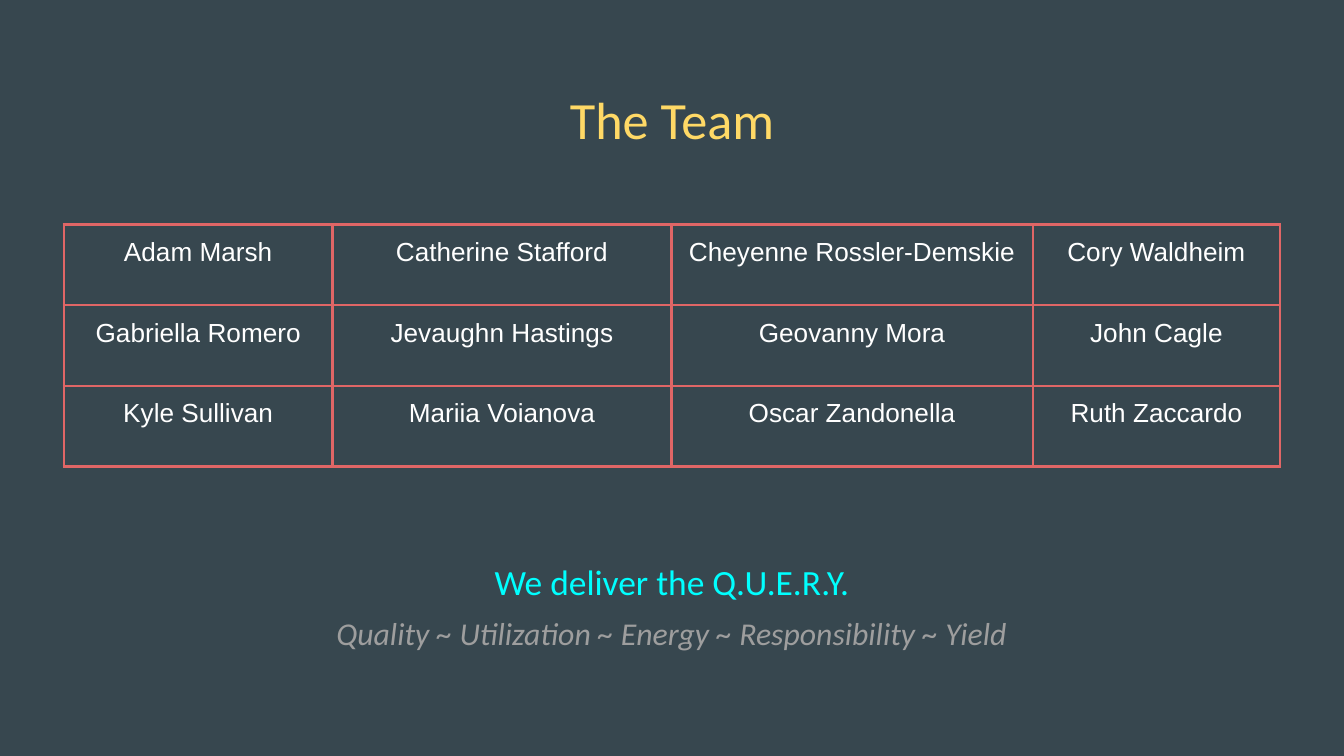
from dataclasses import dataclass

from lxml.etree import SubElement
from pptx import Presentation
from pptx.dml.color import RGBColor as RGB
from pptx.enum.text import MSO_ANCHOR as Anchor, MSO_AUTO_SIZE as AutoSize, PP_ALIGN as Align
from pptx.oxml.ns import qn
from pptx.util import Inches, Pt


@dataclass(frozen=True)
class Theme:
    background: str = "37474F"
    title: str = "FFD966"
    motto: str = "00FFFF"
    values: str = "9E9E9E"
    names: str = "FFFFFF"
    border: str = "E06666"
    heading_font: str = "Calibri"
    table_font: str = "Arial"
    title_size: int = 28
    motto_size: int = 19
    values_size: int = 17
    names_size: int = 14
    border_width: float = 1.5
    inset: float = 0.1


THEME = Theme()
SLIDE_WIDTH = 10
SLIDE_HEIGHT = SLIDE_WIDTH * 9 / 16
COLUMN_WIDTHS = (2, 2.52, 2.69, 1.84)
ROW_HEIGHT = 0.6
TEAM = (
    ("Adam Marsh", "Catherine Stafford", "Cheyenne Rossler-Demskie", "Cory Waldheim"),
    ("Gabriella Romero", "Jevaughn Hastings", "Geovanny Mora", "John Cagle"),
    ("Kyle Sullivan", "Mariia Voianova", "Oscar Zandonella", "Ruth Zaccardo"),
)


def centred_place(top, width, height):
    """Return left, top, width and height of an area centred across the slide."""
    return [Inches(length) for length in ((SLIDE_WIDTH - width) / 2, top, width, height)]


def set_insets(target):
    target.margin_left = target.margin_right = Inches(THEME.inset)
    target.margin_top = target.margin_bottom = Inches(THEME.inset)


def write(para, text, *, size, color, font=THEME.heading_font, italic=False, spacing=1):
    para.alignment = Align.CENTER
    para.line_spacing = spacing
    para.space_before = para.space_after = Pt(0)
    span = para.add_run()
    span.text = text
    span.font.name = font
    span.font.size = Pt(size)
    span.font.italic = italic
    span.font.color.rgb = RGB.from_string(color)


def remove_bullet(para):
    properties = para._p.get_or_add_pPr()
    properties.set("marL", "0")
    properties.set("indent", "0")
    SubElement(properties, qn("a:buNone"))


def place_placeholder(box, top, width, height):
    box.left, box.top, box.width, box.height = centred_place(top, width, height)
    frame = box.text_frame
    frame.word_wrap = True
    frame.auto_size = AutoSize.NONE
    frame.vertical_anchor = Anchor.MIDDLE
    set_insets(frame)
    return frame


def draw_cell_borders(cell):
    properties = cell._tc.get_or_add_tcPr()
    for side in ("a:lnL", "a:lnR", "a:lnT", "a:lnB"):
        line = SubElement(properties, qn(side), w=str(Pt(THEME.border_width)))
        fill = SubElement(line, qn("a:solidFill"))
        SubElement(fill, qn("a:srgbClr"), val=THEME.border)


def add_title(page):
    frame = place_placeholder(page.shapes.title, 0.51, 3.47, 0.75)
    write(frame.paragraphs[0], "The Team", size=THEME.title_size, color=THEME.title)


def add_motto(page):
    frame = place_placeholder(page.placeholders[1], 3.89, 5.68, 1.14)
    motto, values = frame.paragraphs[0], frame.add_paragraph()
    write(motto, "We deliver the Q.U.E.R.Y.",
          size=THEME.motto_size, color=THEME.motto, spacing=1.3)
    write(values, "Quality ~ Utilization ~ Energy ~ Responsibility ~ Yield",
          size=THEME.values_size, color=THEME.values, italic=True, spacing=1.3)
    for para in (motto, values):
        remove_bullet(para)


def add_team_table(page):
    place = centred_place(1.67, sum(COLUMN_WIDTHS), ROW_HEIGHT * len(TEAM))
    table = page.shapes.add_table(len(TEAM), len(COLUMN_WIDTHS), *place).table
    table.first_row = table.horz_banding = False
    for column, width in zip(table.columns, COLUMN_WIDTHS):
        column.width = Inches(width)
    for row, names in zip(table.rows, TEAM):
        row.height = Inches(ROW_HEIGHT)
        for cell, name in zip(row.cells, names):
            set_insets(cell)
            draw_cell_borders(cell)
            cell.fill.background()
            write(cell.text_frame.paragraphs[0], name, size=THEME.names_size,
                  color=THEME.names, font=THEME.table_font)


def main():
    deck = Presentation()
    deck.slide_width, deck.slide_height = Inches(SLIDE_WIDTH), Inches(SLIDE_HEIGHT)
    page = deck.slides.add_slide(deck.slide_layouts.get_by_name("Title and Content"))
    page.background.fill.solid()
    page.background.fill.fore_color.rgb = RGB.from_string(THEME.background)
    add_title(page)
    add_motto(page)
    add_team_table(page)
    deck.save("out.pptx")


if __name__ == "__main__":
    main()
